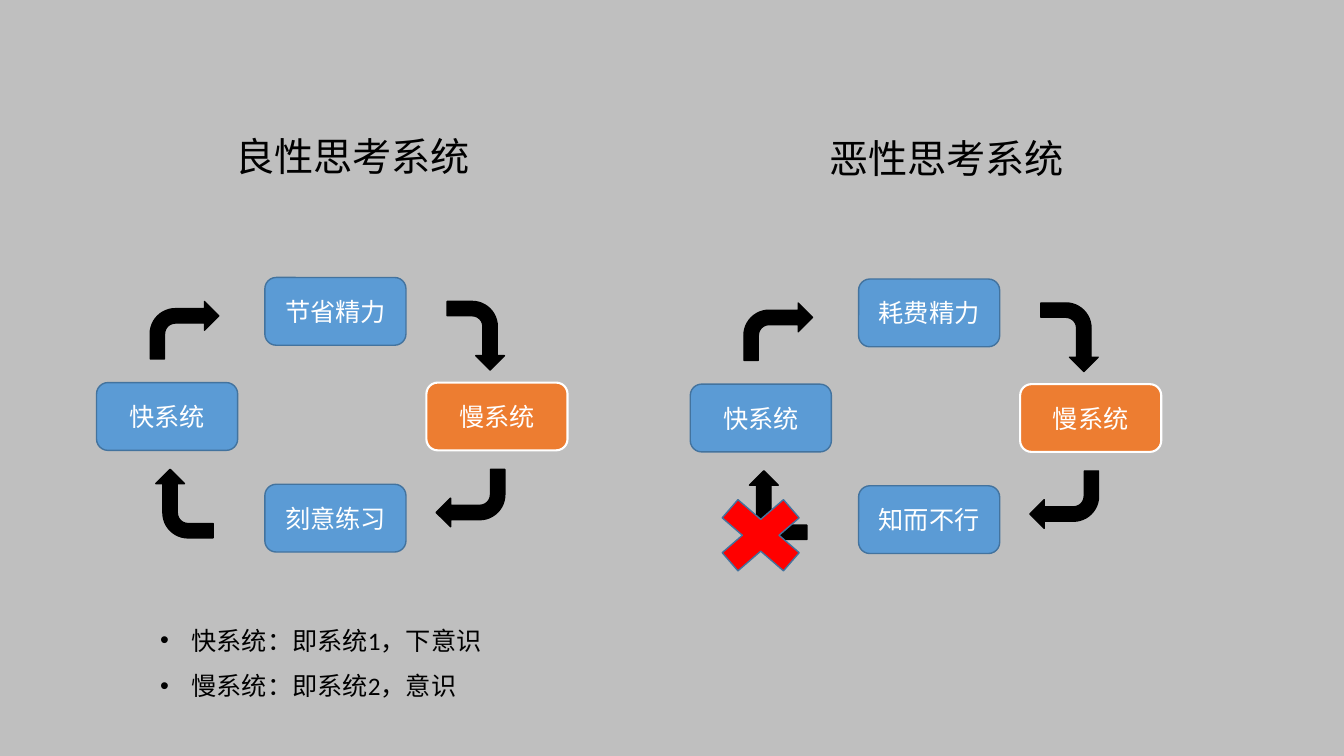
"""Build a slide contrasting a virtuous and a vicious thinking cycle."""
from dataclasses import dataclass

from lxml.etree import SubElement
from pptx import Presentation
from pptx.dml.color import RGBColor
from pptx.enum.shapes import MSO_AUTO_SHAPE_TYPE as Preset
from pptx.enum.text import MSO_ANCHOR as Anchor, MSO_AUTO_SIZE as AutoSize, PP_ALIGN as Align
from pptx.oxml.ns import qn
from pptx.shapes.autoshape import Shape
from pptx.slide import Slide
from pptx.text.text import _Paragraph as Paragraph
from pptx.util import Pt

GRAY = RGBColor(0xBF, 0xBF, 0xBF)
BLUE = RGBColor(0x5B, 0x9B, 0xD5)
DARK_BLUE = RGBColor(0x43, 0x73, 0x9E)
ORANGE = RGBColor(0xED, 0x7D, 0x31)
RED = RGBColor(0xFF, 0x00, 0x00)
BLACK = RGBColor(0x00, 0x00, 0x00)
WHITE = RGBColor(0xFF, 0xFF, 0xFF)
FONT = "Calibri"


@dataclass(frozen=True)
class Area:
    left: float
    top: float
    width: float
    height: float

    def lengths(self) -> tuple[Pt, Pt, Pt, Pt]:
        return Pt(self.left), Pt(self.top), Pt(self.width), Pt(self.height)


@dataclass(frozen=True)
class Style:
    fill: RGBColor
    line: RGBColor
    weight: float = 1


@dataclass(frozen=True)
class Turn:
    left: float
    top: float
    rotation: float


@dataclass(frozen=True)
class Cycle:
    title: str
    bottom: str
    top: str
    dx: float
    dy: float


NORMAL = Style(BLUE, DARK_BLUE)
ACCENT = Style(ORANGE, WHITE, 1.5)
ARROW = Style(BLACK, BLACK)
CROSS = Style(RED, DARK_BLUE)

TURNS = (
    Turn(315.3, 219.3, 90),
    Turn(311.6, 335.3, 180),
    Turn(107.3, 215.4, 0),
    Turn(107.3, 339.2, 270),
)
CYCLES = (
    Cycle("良性思考系统", "刻意练习", "节省精力", 0, 0),
    Cycle("恶性思考系统", "知而不行", "耗费精力", 424.1, 1.1),
)
DEFINITIONS = ("快系统：即系统1，下意识", "慢系统：即系统2，意识")


def add_words(paragraph: Paragraph, words: str, size: float, color: RGBColor) -> None:
    run = paragraph.add_run()
    run.text = words
    run.font.name = FONT
    run.font.size = Pt(size)
    run.font.color.rgb = color


def add_figure(slide: Slide, preset: Preset, area: Area, style: Style) -> Shape:
    figure = slide.shapes.add_shape(preset, *area.lengths())
    figure.shadow.inherit = False
    figure.fill.solid()
    figure.fill.fore_color.rgb = style.fill
    figure.line.color.rgb = style.line
    figure.line.width = Pt(style.weight)
    return figure


def add_stage(slide: Slide, label: str, left: float, top: float, style: Style) -> None:
    stage = add_figure(slide, Preset.ROUNDED_RECTANGLE, Area(left, top, 100.8, 48.4), style)
    stage.text_frame.vertical_anchor = Anchor.MIDDLE
    paragraph = stage.text_frame.paragraphs[0]
    paragraph.alignment = Align.CENTER
    add_words(paragraph, label, 18, WHITE)


def add_title(slide: Slide, title: str, area: Area) -> None:
    frame = slide.shapes.add_textbox(*area.lengths()).text_frame
    frame.word_wrap = True
    frame.auto_size = AutoSize.SHAPE_TO_FIT_TEXT
    frame.paragraphs[0].alignment = Align.CENTER
    add_words(frame.paragraphs[0], title, 28, BLACK)


def add_cycle(slide: Slide, cycle: Cycle) -> None:
    dx, dy = cycle.dx, cycle.dy
    add_stage(slide, cycle.bottom, 189.2 + dx, 345.9 + dy, NORMAL)
    add_stage(slide, cycle.top, 189.2 + dx, 198.2 + dy, NORMAL)
    add_stage(slide, "慢系统", 304.6 + dx, 273.3 + dy, ACCENT)
    add_stage(slide, "快系统", 69 + dx, 273.3 + dy, NORMAL)
    for turn in TURNS:
        area = Area(turn.left + dx, turn.top + dy, 49, 41)
        add_figure(slide, Preset.BENT_ARROW, area, ARROW).rotation = turn.rotation
    add_title(slide, cycle.title, Area(156.2 + dx, 91.2 + dy, 191.5, 41.2))


def add_definitions(slide: Slide, definitions: tuple[str, ...], area: Area) -> None:
    frame = slide.shapes.add_textbox(*area.lengths()).text_frame
    frame.word_wrap = True
    frame.auto_size = AutoSize.SHAPE_TO_FIT_TEXT
    for index, definition in enumerate(definitions):
        paragraph = frame.add_paragraph() if index else frame.paragraphs[0]
        paragraph.line_spacing = 1.5
        properties = paragraph._p.get_or_add_pPr()
        properties.set("marL", str(Pt(22.5)))
        properties.set("indent", str(-Pt(22.5)))
        SubElement(properties, qn("a:buFont"), typeface="Arial")
        SubElement(properties, qn("a:buChar"), char="•")
        add_words(paragraph, definition, 18, BLACK)


def main() -> None:
    deck = Presentation()
    deck.slide_width, deck.slide_height = Pt(960), Pt(540)
    slide = deck.slides.add_slide(deck.slide_layouts[6])
    slide.background.fill.solid()
    slide.background.fill.fore_color.rgb = GRAY
    for cycle in CYCLES:
        add_cycle(slide, cycle)
    add_figure(slide, Preset.MATH_MULTIPLY, Area(501.3, 345.9, 84.2, 72.9), CROSS)
    add_definitions(slide, DEFINITIONS, Area(107.3, 432, 244, 72.7))
    deck.save("out.pptx")


if __name__ == "__main__":
    main()
